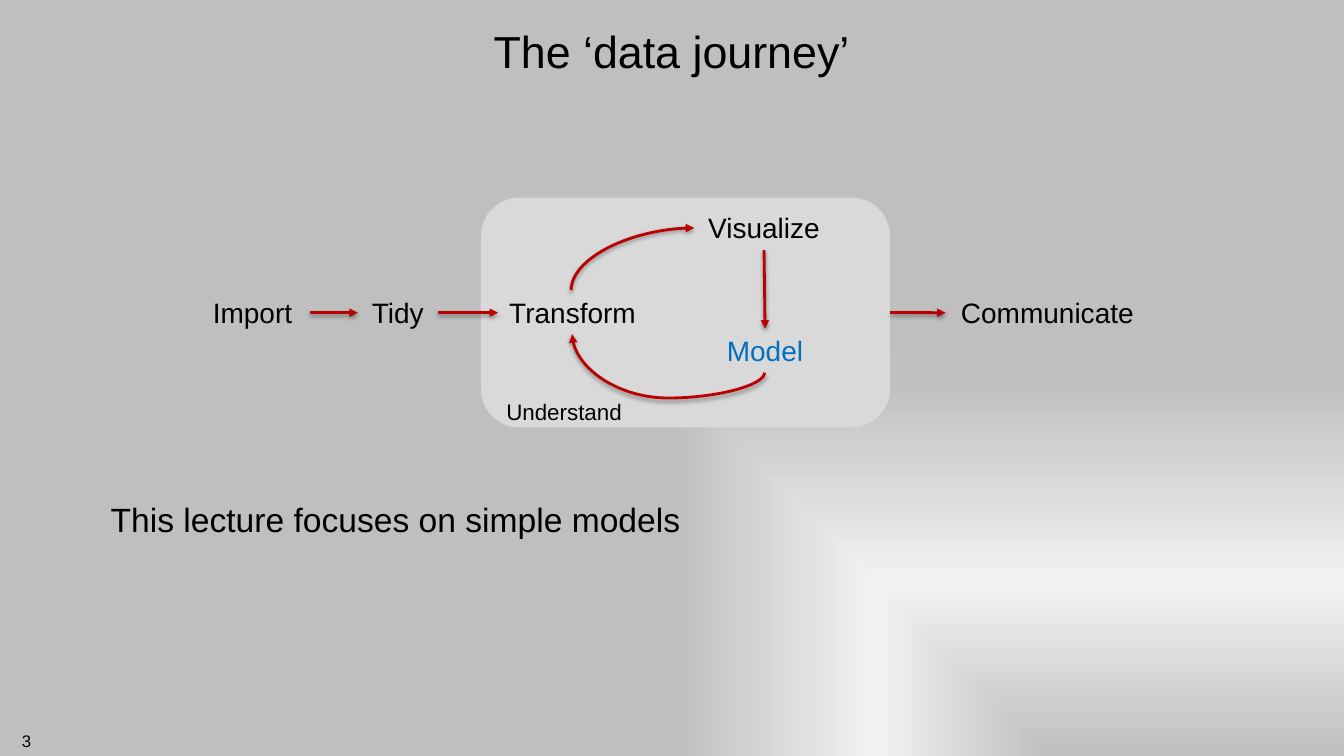
from lxml.etree import SubElement
from pptx import Presentation
from pptx.dml.color import RGBColor
from pptx.enum.shapes import MSO_CONNECTOR, MSO_SHAPE
from pptx.enum.text import MSO_ANCHOR, MSO_AUTO_SIZE, PP_ALIGN
from pptx.oxml import parse_xml
from pptx.oxml.ns import nsdecls, qn
from pptx.util import Cm, Pt

COLORS = {
    "text": "000000",
    "focus": "0070C0",
    "arrow": "BB0000",
    "panel": "D9D9D9",
    "edge": "BFBFBF",
    "glow": "F2F2F2",
}


def write(shape, text, size=20, color="text", align=PP_ALIGN.CENTER,
          anchor=MSO_ANCHOR.TOP, wrap=True, inset=0.13):
    frame = shape.text_frame
    frame.word_wrap = wrap
    frame.auto_size = MSO_AUTO_SIZE.NONE
    frame.vertical_anchor = anchor
    frame.margin_left = frame.margin_right = Cm(0.25)
    frame.margin_top = frame.margin_bottom = Cm(inset)
    paragraph = frame.paragraphs[0]
    paragraph.alignment = align
    run = paragraph.add_run()
    run.text = text
    run.font.name = "Arial"
    run.font.size = Pt(size)
    run.font.color.rgb = RGBColor.from_string(COLORS[color])
    return paragraph


def style_arrow(arrow):
    arrow.line.color.rgb = RGBColor.from_string(COLORS["arrow"])
    arrow.line.width = Pt(2)
    line = arrow.line._get_or_add_ln()
    SubElement(line, qn("a:tailEnd"), type="triangle")
    line.addnext(parse_xml(
        f'<a:effectLst {nsdecls("a")}>'
        '<a:outerShdw blurRad="40000" dist="20000" dir="5400000" rotWithShape="0">'
        '<a:srgbClr val="000000"><a:alpha val="38000"/></a:srgbClr>'
        '</a:outerShdw></a:effectLst>'))


presentation = Presentation()
presentation.slide_width = Cm(33.87)
presentation.slide_height = Cm(19.05)
slide = presentation.slides.add_slide(presentation.slide_layouts[5])
shapes = slide.shapes

slide.background.fill.gradient()
gradient = next(slide.element.iter(qn("a:gradFill")))
gradient.getparent().replace(gradient, parse_xml(
    f'<a:gradFill {nsdecls("a")} rotWithShape="1"><a:gsLst>'
    f'<a:gs pos="0"><a:srgbClr val="{COLORS["edge"]}"/></a:gs>'
    f'<a:gs pos="46000"><a:srgbClr val="{COLORS["glow"]}"/></a:gs>'
    f'<a:gs pos="100000"><a:srgbClr val="{COLORS["edge"]}"/></a:gs>'
    '</a:gsLst><a:path path="rect"><a:fillToRect l="100000" t="100000"/></a:path>'
    '</a:gradFill>'))

title = shapes.title
title.left, title.top, title.width, title.height = Cm(2.54), Cm(0), Cm(28.78), Cm(2.54)
write(title, "The ‘data journey’", size=32, anchor=MSO_ANCHOR.MIDDLE, inset=0.25)

slide_number = shapes.add_textbox(Cm(0), Cm(18.29), Cm(1.04), Cm(0.76))
write(slide_number, "3", size=12, align=PP_ALIGN.RIGHT, wrap=False)

focus = shapes.add_textbox(Cm(2.18), Cm(12.32), Cm(29.95), Cm(4.7))
sentence = write(focus, "This lecture focuses on simple models", size=24,
                 align=PP_ALIGN.LEFT, inset=0.25)
sentence.space_before = Pt(12)
sentence._p.get_or_add_pPr().set("marL", str(Cm(0.36)))

panel = shapes.add_shape(MSO_SHAPE.ROUNDED_RECTANGLE, Cm(12.12), Cm(4.98), Cm(10.31), Cm(5.79))
panel.shadow.inherit = False
panel.fill.solid()
panel.fill.fore_color.rgb = RGBColor.from_string(COLORS["panel"])
panel.line.fill.background()

steps = {"Panel": panel}
for name, left, top, width, color in [
    ("Import", 4.93, 7.32, 2.87, "text"),
    ("Tidy", 9.02, 7.32, 2.01, "text"),
    ("Transform", 12.55, 7.32, 3.76, "text"),
    ("Visualize", 17.5, 5.18, 3.51, "text"),
    ("Model", 18.01, 8.28, 2.54, "focus"),
    ("Communicate", 23.83, 7.32, 5.13, "text"),
]:
    steps[name] = shapes.add_textbox(Cm(left), Cm(top), Cm(width), Cm(1.12))
    write(steps[name], name, color=color)

TOP, LEFT, BOTTOM, RIGHT = range(4)
for source, exit_side, target, entry_side in [
    ("Import", RIGHT, "Tidy", LEFT),
    ("Tidy", RIGHT, "Transform", LEFT),
    ("Panel", RIGHT, "Communicate", LEFT),
    ("Visualize", BOTTOM, "Model", TOP),
]:
    arrow = shapes.add_connector(MSO_CONNECTOR.STRAIGHT, 0, 0, 0, 0)
    arrow.begin_connect(steps[source], exit_side)
    arrow.end_connect(steps[target], entry_side)
    style_arrow(arrow)

for preset, begin_x, begin_y, end_x, end_y, bend in [
    ("curvedConnector3", 17.33, 6.48, 16.36, 11.33, -65900),
    ("curvedConnector2", 16.73, 8.08, 15.16, 4.98, None),
]:
    curve = shapes.add_connector(MSO_CONNECTOR.CURVE, Cm(begin_x), Cm(begin_y), Cm(end_x), Cm(end_y))
    properties = curve.element.spPr
    properties.find(qn("a:xfrm")).set("rot", "5400000")
    geometry = properties.find(qn("a:prstGeom"))
    geometry.set("prst", preset)
    if bend is not None:
        SubElement(geometry.find(qn("a:avLst")), qn("a:gd"), name="adj1", fmla=f"val {bend}")
    style_arrow(curve)

understand = shapes.add_textbox(Cm(11.79), Cm(9.91), Cm(4.85), Cm(0.94))
write(understand, "Understand", size=16)

presentation.save("out.pptx")
